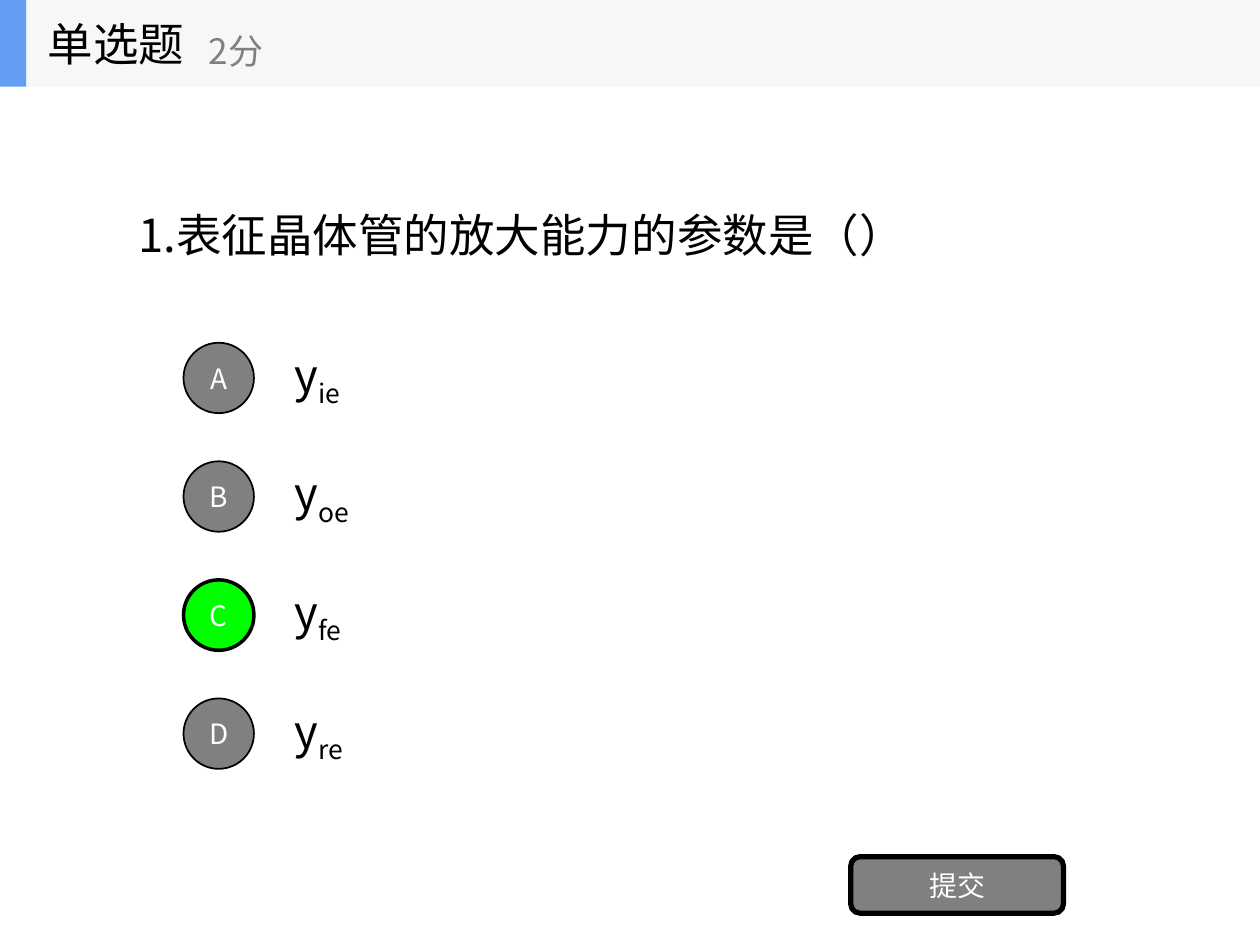
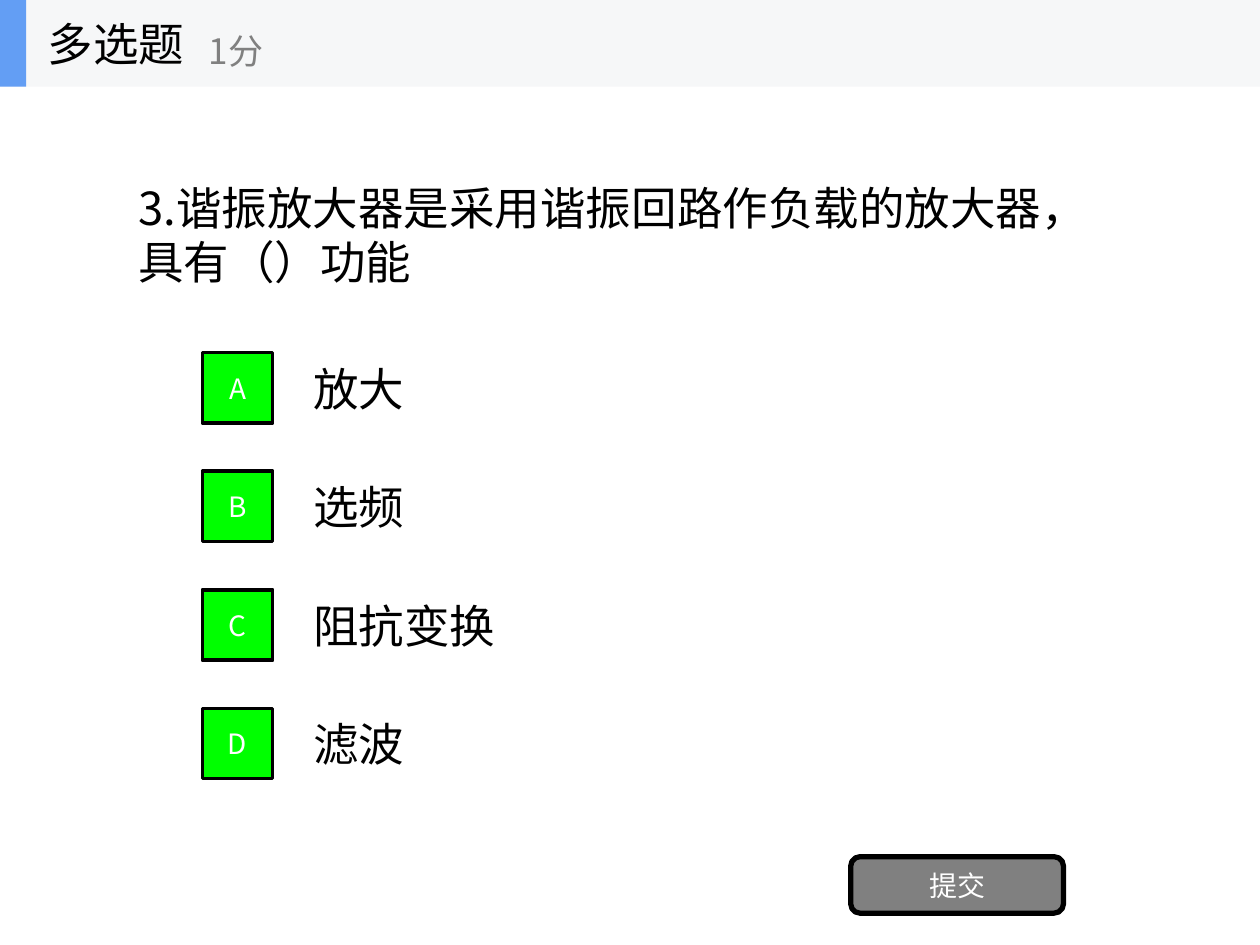
from lxml.etree import SubElement
from pptx import Presentation
from pptx.dml.color import RGBColor
from pptx.enum.shapes import MSO_SHAPE as SHAPE
from pptx.enum.text import MSO_ANCHOR as ANCHOR, MSO_AUTO_SIZE as AUTO, PP_ALIGN as ALIGN
from pptx.oxml.ns import qn
from pptx.util import Cm, Pt

COLORS = {"ink": "000000", "white": "FFFFFF", "grey": "808080",
          "correct": "00FF00", "band": "F6F7F8", "accent": "639EF4"}
FONT = "Noto Sans CJK SC"
BAND_H = 1.75
OPTION_PITCH, OPTION_H, MARKER = 2.39, 1.78, 1.42


def rgb(name):
    return RGBColor.from_string(COLORS[name])


def write(tf, text, size=26, color="ink", align=ALIGN.LEFT, sub="", margins=(0.25, 0.13)):
    """Fill a text frame with one paragraph, optionally ending in a subscript."""
    tf.word_wrap = True
    tf.auto_size = AUTO.NONE
    tf.vertical_anchor = ANCHOR.MIDDLE
    tf.margin_left = tf.margin_right = Cm(margins[0])
    tf.margin_top = tf.margin_bottom = Cm(margins[1])
    p = tf.paragraphs[0]
    p.alignment = align
    for part, baseline in ((text, None), (sub, "-25000")):
        if not part:
            continue
        r = p.add_run()
        r.text = part
        r.font.size = Pt(size)
        r.font.name = FONT
        r.font.color.rgb = rgb(color)
        rPr = r._r.get_or_add_rPr()
        SubElement(rPr, qn("a:ea"), typeface=FONT)
        if baseline:
            rPr.set("baseline", baseline)


class QuizDeck:
    def __init__(self):
        self.prs = Presentation()
        self.prs.slide_width, self.prs.slide_height = Cm(25.4), Cm(19.05)
        self.s = None

    def new_slide(self):
        self.s = self.prs.slides.add_slide(self.prs.slide_layouts[5])

    def shape(self, kind, x, y, w, h, fill, line=0, text=""):
        sp = self.s.shapes.add_shape(kind, Cm(x), Cm(y), Cm(w), Cm(h))
        sp.shadow.inherit = False
        sp.fill.solid()
        sp.fill.fore_color.rgb = rgb(fill)
        if line:
            sp.line.color.rgb = rgb("ink")
            sp.line.width = Pt(line)
        else:
            sp.line.fill.background()
        if text:
            write(sp.text_frame, text, size=16, color="white",
                  align=ALIGN.CENTER, margins=(0, 0))

    def text(self, x, y, w, h, text, **fmt):
        box = self.s.shapes.add_textbox(Cm(x), Cm(y), Cm(w), Cm(h))
        write(box.text_frame, text, **fmt)

    def question(self, text):
        sp = self.s.shapes.title
        sp.left, sp.top, sp.width, sp.height = Cm(2.54), Cm(BAND_H), Cm(20.32), Cm(5.94)
        write(sp.text_frame, text)

    def options(self, options, correct, marker, x, y):
        """Stack lettered options; x is the text's left, y the first row's centre."""
        for i, (letter, (text, sub)) in enumerate(zip("ABCD", options)):
            mid = y + i * OPTION_PITCH
            right = letter in correct
            self.text(x, mid - OPTION_H / 2, 17.78, OPTION_H, text, sub=sub)
            self.shape(marker, x - 1.99, mid - MARKER / 2, MARKER, MARKER,
                       "correct" if right else "grey", 2 if right else 1, letter)

    def submit_button(self):
        self.shape(SHAPE.ROUNDED_RECTANGLE, 17.15, 17.27, 4.29, 1.14, "grey", 3, "提交")

    def header(self, kind, points):
        self.shape(SHAPE.RECTANGLE, 0, 0, 25.4, BAND_H, "band")
        self.shape(SHAPE.RECTANGLE, 0, 0, 0.53, BAND_H, "accent")
        self.text(0.71, 0, 5.28, BAND_H, kind)
        self.text(3.96, 0.3, 6.35, 1.42, points, size=20, color="grey")

    def quiz(self, kind, points, question, **options):
        self.new_slide()
        self.question(question)
        self.options(**options)
        self.submit_button()
        self.header(kind, points)


def main():
    deck = QuizDeck()
    deck.quiz("单选题", "2分", "1.表征晶体管的放大能力的参数是（）",
              options=[("y", sub) for sub in ("ie", "oe", "fe", "re")],
              correct="C", marker=SHAPE.OVAL, x=5.69, y=7.62)
    deck.quiz("多选题", "1分", "3.谐振放大器是采用谐振回路作负载的放大器，具有（）功能",
              options=[(text, "") for text in ("放大", "选频", "阻抗变换", "滤波")],
              correct="ABCD", marker=SHAPE.RECTANGLE, x=6.07, y=7.82)
    deck.prs.save("out.pptx")


if __name__ == "__main__":
    main()
